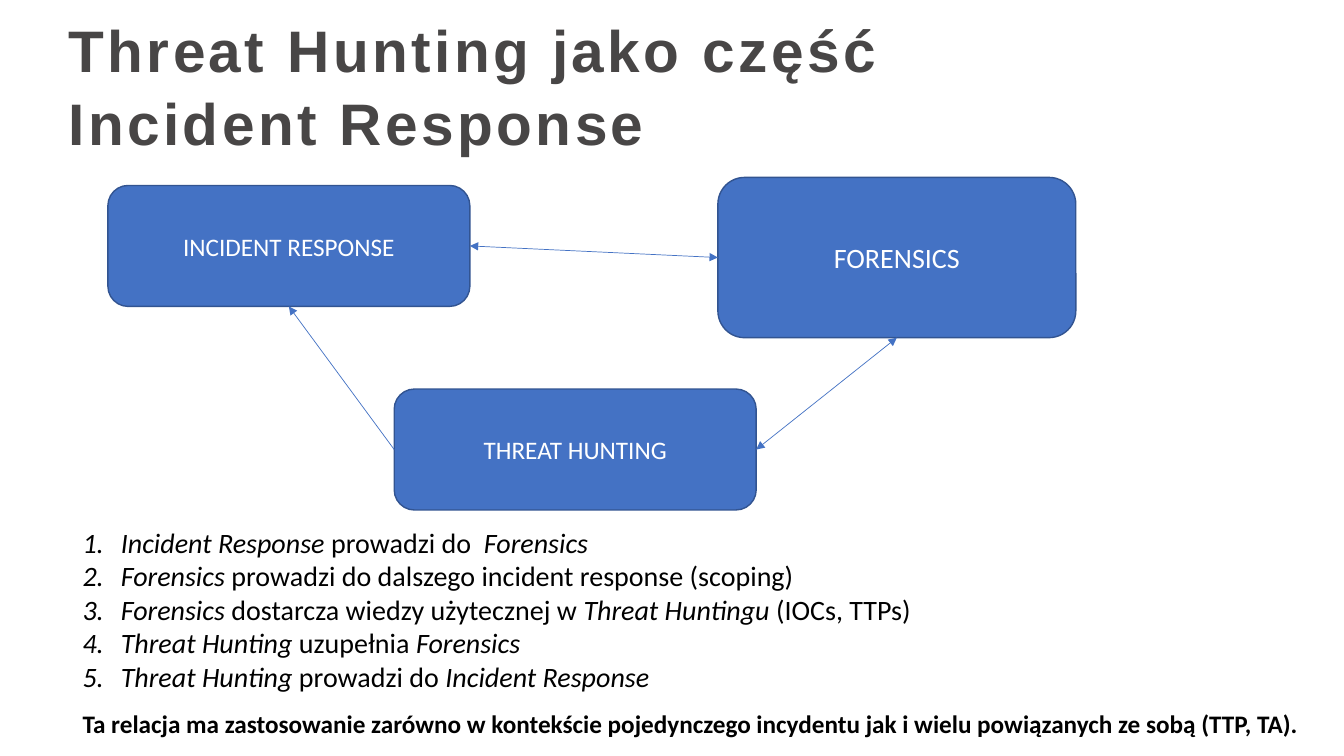
from pptx import Presentation
from pptx.dml.color import RGBColor
from pptx.enum.shapes import MSO_CONNECTOR, MSO_SHAPE
from pptx.enum.text import MSO_ANCHOR, PP_ALIGN
from pptx.oxml.ns import qn
from pptx.util import Inches, Pt
from lxml import etree

ROUNDED = MSO_SHAPE.ROUNDED_RECTANGLE
STRAIGHT = MSO_CONNECTOR.STRAIGHT
MIDDLE = MSO_ANCHOR.MIDDLE
CENTER = PP_ALIGN.CENTER
BLUE = RGBColor(0x44, 0x72, 0xC4)
EDGE = RGBColor(0x32, 0x54, 0x91)
GREY = RGBColor(0x48, 0x46, 0x46)
WHITE = RGBColor(0xFF, 0xFF, 0xFF)
BLACK = RGBColor(0, 0, 0)
TOP, LEFT, BOTTOM, RIGHT = range(4)

TITLE = ["Threat Hunting jako część", "Incident Response"]
NODES = {
    "INCIDENT RESPONSE": (0, 0.08, 3.59, 1.2, 18),
    "FORENSICS": (6.05, 0, 3.55, 1.59, 20),
    "THREAT HUNTING": (2.84, 2.1, 3.59, 1.2, 18),
}
LINKS = [
    ("THREAT HUNTING", LEFT, "INCIDENT RESPONSE", BOTTOM, ["tailEnd"]),
    ("FORENSICS", BOTTOM, "THREAT HUNTING", RIGHT, ["headEnd", "tailEnd"]),
    ("FORENSICS", LEFT, "INCIDENT RESPONSE", RIGHT, ["headEnd", "tailEnd"]),
]
RELATIONS = [
    [("Incident Response", True), (" prowadzi do  ", False), ("Forensics", True)],
    [("Forensics", True), (" prowadzi do dalszego incident response (scoping)", False)],
    [("Forensics", True), (" dostarcza wiedzy użytecznej w ", False),
     ("Threat Huntingu", True), (" (IOCs, TTPs)", False)],
    [("Threat Hunting", True), (" uzupełnia ", False), ("Forensics", True)],
    [("Threat Hunting", True), (" prowadzi do ", False), ("Incident Response", True)],
]
SUMMARY = ("Ta relacja ma zastosowanie zarówno w kontekście pojedynczego incydentu "
           "jak i wielu powiązanych ze sobą (TTP, TA).")


def add_run(p, text, size, color, font="Calibri", bold=False, italic=False):
    r = p.add_run()
    r.text = text
    r.font.name = font
    r.font.size = Pt(size)
    r.font.color.rgb = color
    r.font.bold = bold
    r.font.italic = italic
    return r


def add_text_frame(s, box):
    tf = s.shapes.add_textbox(*map(Inches, box)).text_frame
    tf.word_wrap = True
    return tf


def next_paragraph(tf, index):
    return tf.add_paragraph() if index else tf.paragraphs[0]


def add_title(s, box):
    tf = add_text_frame(s, box)
    tf.margin_left = tf.margin_right = tf.margin_top = tf.margin_bottom = 0
    for i, line in enumerate(TITLE):
        p = next_paragraph(tf, i)
        p.line_spacing = 1.04
        r = add_run(p, line, 41.8, GREY, "Arial", bold=True)
        r.font._element.set("spc", "250")


def add_node(s, box, label, size):
    sp = s.shapes.add_shape(ROUNDED, *map(Inches, box))
    sp.shadow.inherit = False
    sp.fill.solid()
    sp.fill.fore_color.rgb = BLUE
    sp.line.color.rgb = EDGE
    sp.line.width = Pt(1)
    tf = sp.text_frame
    tf.word_wrap = True
    tf.vertical_anchor = MIDDLE
    p = tf.paragraphs[0]
    p.alignment = CENTER
    add_run(p, label, size, WHITE)
    return sp


def add_link(s, start, start_site, end, end_site, arrowheads):
    link = s.shapes.add_connector(STRAIGHT, 0, 0, 0, 0)
    link.begin_connect(start, start_site)
    link.end_connect(end, end_site)
    link.line.color.rgb = BLUE
    link.line.width = Pt(0.5)
    ln = link.line._get_or_add_ln()
    for name in arrowheads:
        etree.SubElement(ln, qn(f"a:{name}"), type="triangle")
    etree.SubElement(link._element.spPr, qn("a:effectLst"))


def add_diagram(s, left, top):
    nodes = {}
    for label, (x, y, width, height, size) in NODES.items():
        nodes[label] = add_node(s, (left + x, top + y, width, height), label, size)
    for start, start_site, end, end_site, arrowheads in LINKS:
        add_link(s, nodes[start], start_site, nodes[end], end_site, arrowheads)


def add_relations(s, box):
    tf = add_text_frame(s, box)
    indent = Inches(0.38)
    for i, parts in enumerate(RELATIONS):
        p = next_paragraph(tf, i)
        pPr = p._p.get_or_add_pPr()
        pPr.set("marL", str(indent))
        pPr.set("indent", str(-indent))
        etree.SubElement(pPr, qn("a:buFont"), typeface="+mj-lt")
        etree.SubElement(pPr, qn("a:buAutoNum"), type="arabicPeriod")
        for text, italic in parts:
            add_run(p, text, 20, BLACK, italic=italic)


def add_summary(s, box):
    tf = add_text_frame(s, box)
    add_run(tf.paragraphs[0], SUMMARY, 18, BLACK, bold=True)


def main():
    prs = Presentation()
    prs.slide_width = Inches(13.33)
    prs.slide_height = Inches(7.5)
    s = prs.slides.add_slide(prs.slide_layouts[6])
    add_title(s, (0.68, 0.11, 10.97, 1.41))
    add_diagram(s, 1.07, 1.76)
    add_relations(s, (0.72, 5.16, 11.42, 1.78))
    add_summary(s, (0.72, 6.98, 12.28, 0.4))
    prs.save("out.pptx")


if __name__ == "__main__":
    main()
